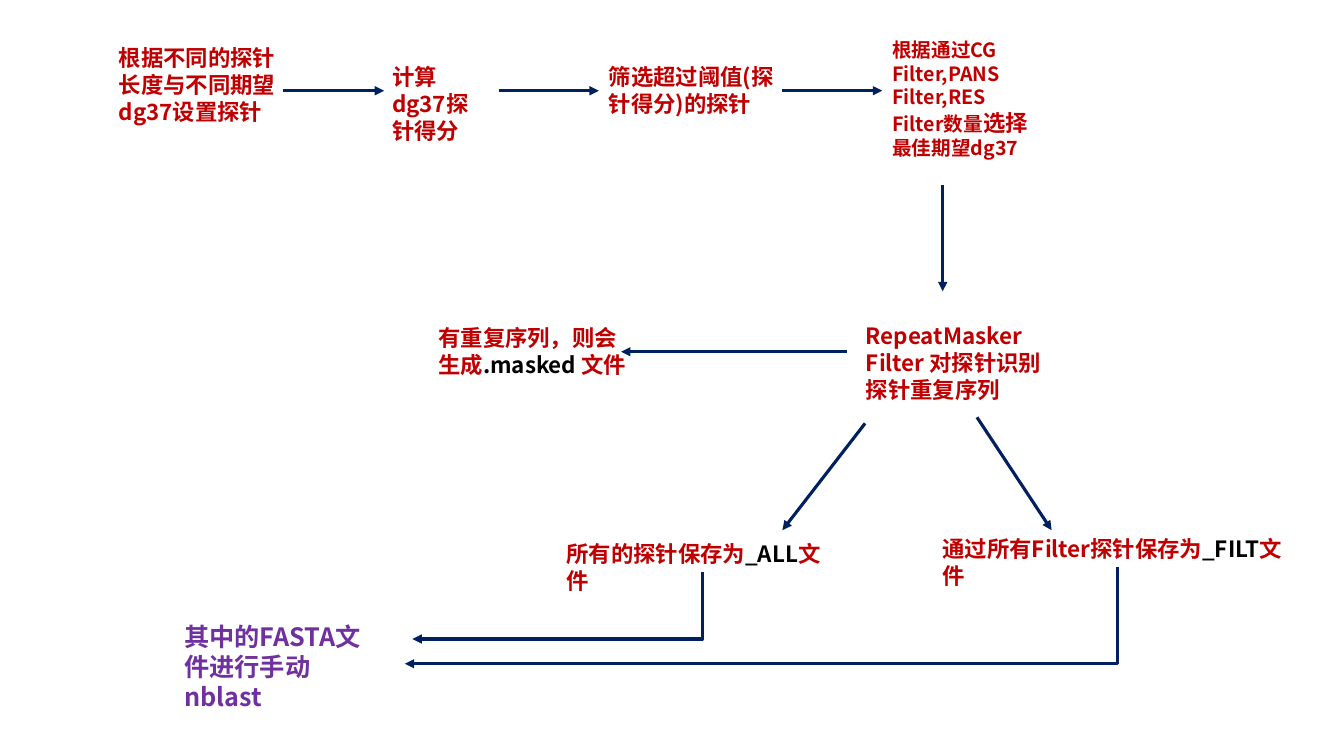
from pptx import Presentation
from pptx.dml.color import RGBColor
from pptx.enum.shapes import MSO_CONNECTOR as Link
from pptx.enum.text import MSO_AUTO_SIZE as AutoSize
from pptx.oxml.ns import qn
from pptx.util import Emu, Pt
from lxml.etree import SubElement

RED = RGBColor(0xC0, 0x00, 0x00)
BLACK = RGBColor(0x00, 0x00, 0x00)
PURPLE = RGBColor(0x70, 0x30, 0xA0)
NAVY = RGBColor(0x00, 0x20, 0x60)
FONT = "Noto Sans CJK SC"
LEFT, RIGHT = 1, 3


class FlowPage:
    """Draws text boxes and arrows on one page in a single style."""

    def __init__(self, deck):
        self.page = deck.slides.add_slide(deck.slide_layouts[6])

    @staticmethod
    def px(length):
        return Emu(length * 9144)

    def text(self, left, top, width, height, *spans):
        box = self.page.shapes.add_textbox(*map(self.px, (left, top, width, height)))
        frame = box.text_frame
        frame.word_wrap = True
        frame.auto_size = AutoSize.NONE
        para = frame.paragraphs[0]
        for words, size, color in spans:
            span = para.add_run()
            span.text = words
            look = {"name": FONT, "size": Pt(size), "bold": True}
            for key, value in look.items():
                setattr(span.font, key, value)
            span.font.color.rgb = color
            SubElement(span.font._element, qn("a:ea"), typeface=FONT)
        return box

    def arrow(self, x1, y1, x2, y2, source=None, target=None):
        line = self.page.shapes.add_connector(
            Link.STRAIGHT, *map(self.px, (x1, y1, x2, y2)))
        if source:
            line.begin_connect(source, RIGHT)
        if target:
            line.end_connect(target, LEFT)
        line.line.color.rgb = NAVY
        line.line.width = Pt(2.25)
        SubElement(line.line._get_or_add_ln(), qn("a:tailEnd"), type="triangle")
        SubElement(line._element.spPr, qn("a:effectLst"))
        return line

    def down_then_left(self, x1, y1, x2, y2):
        line = self.arrow(x1, y1, x2, y2)
        drop, run = y2 - y1, x1 - x2
        frame = {
            "left": self.px((x1 + x2 - drop) // 2),
            "top": self.px((y1 + y2 - run) // 2),
            "width": self.px(drop),
            "height": self.px(run),
        }
        for key, value in frame.items():
            setattr(line, key, value)
        transform = line._element.spPr.find(qn("a:xfrm"))
        transform.attrib.pop("flipH", None)
        transform.set("rot", "5400000")
        line._element.spPr.find(qn("a:prstGeom")).set("prst", "bentConnector2")


def main():
    deck = Presentation()
    deck.slide_width, deck.slide_height = FlowPage.px(1333), FlowPage.px(750)
    flow = FlowPage(deck)

    flow.text(108, 39, 182, 91, ("根据不同的探针长度与不同期望dg37设置探针", 16, RED))
    score = flow.text(379, 58, 116, 64, ("计算dg37探针得分", 16, RED))
    screen = flow.text(594, 58, 195, 64, ("筛选超过阈值(探针得分)的探针", 16, RED))
    flow.text(875, 33, 159, 131,
              ("根据通过CG Filter,PANS Filter,RES Filter数量", 14, RED),
              ("选择", 16, RED), ("最佳期望dg37", 14, RED))
    flow.text(849, 315, 195, 138,
              ("RepeatMasker Filter 对探针识别探针重复序列", 16, RED))
    flow.text(425, 317, 213, 64, ("有重复序列，则会生成", 16, RED),
              (".masked ", 16, BLACK), ("文件", 16, RED))
    flow.text(552, 531, 289, 37, ("所有的探针保存为", 16, RED),
              ("_ALL", 16, BLACK), ("文件", 16, RED))
    flow.text(925, 526, 369, 37, ("通过所有Filter探针保存为", 16, RED),
              ("_FILT", 16, BLACK), ("文件", 16, RED))
    flow.text(173, 611, 215, 71, ("其中的FASTA文件进行手动nblast", 18, PURPLE))

    flow.arrow(495, 90, 594, 90, score, screen)
    for ends in (
        (281, 90, 381, 90),
        (776, 90, 875, 90),
        (935, 184, 935, 289),
        (840, 349, 616, 349),
        (858, 420, 776, 526),
        (969, 414, 1043, 526),
    ):
        flow.arrow(*ends)
    flow.down_then_left(697, 568, 409, 634)
    flow.down_then_left(1109, 563, 402, 659)

    deck.save("out.pptx")


if __name__ == "__main__":
    main()
